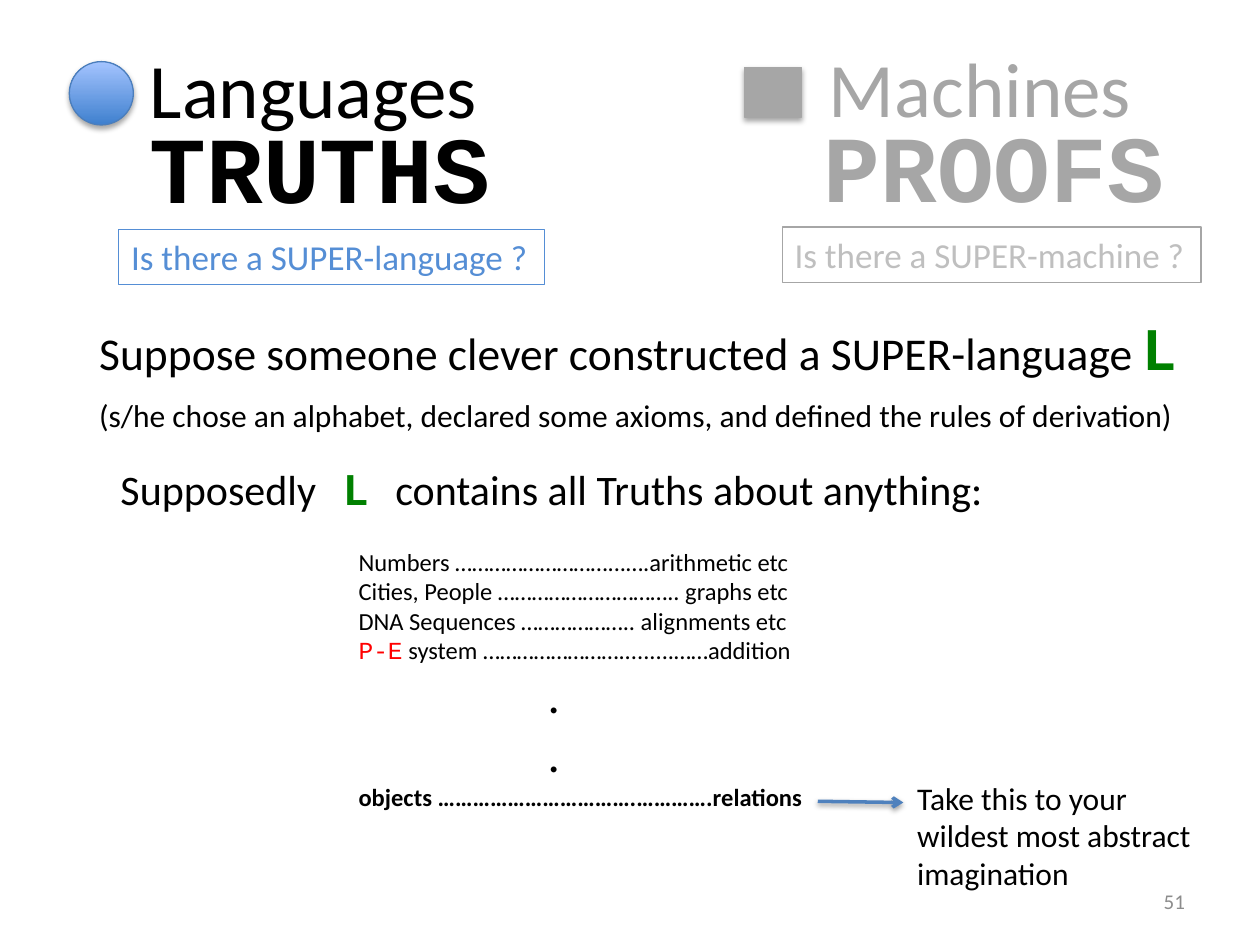
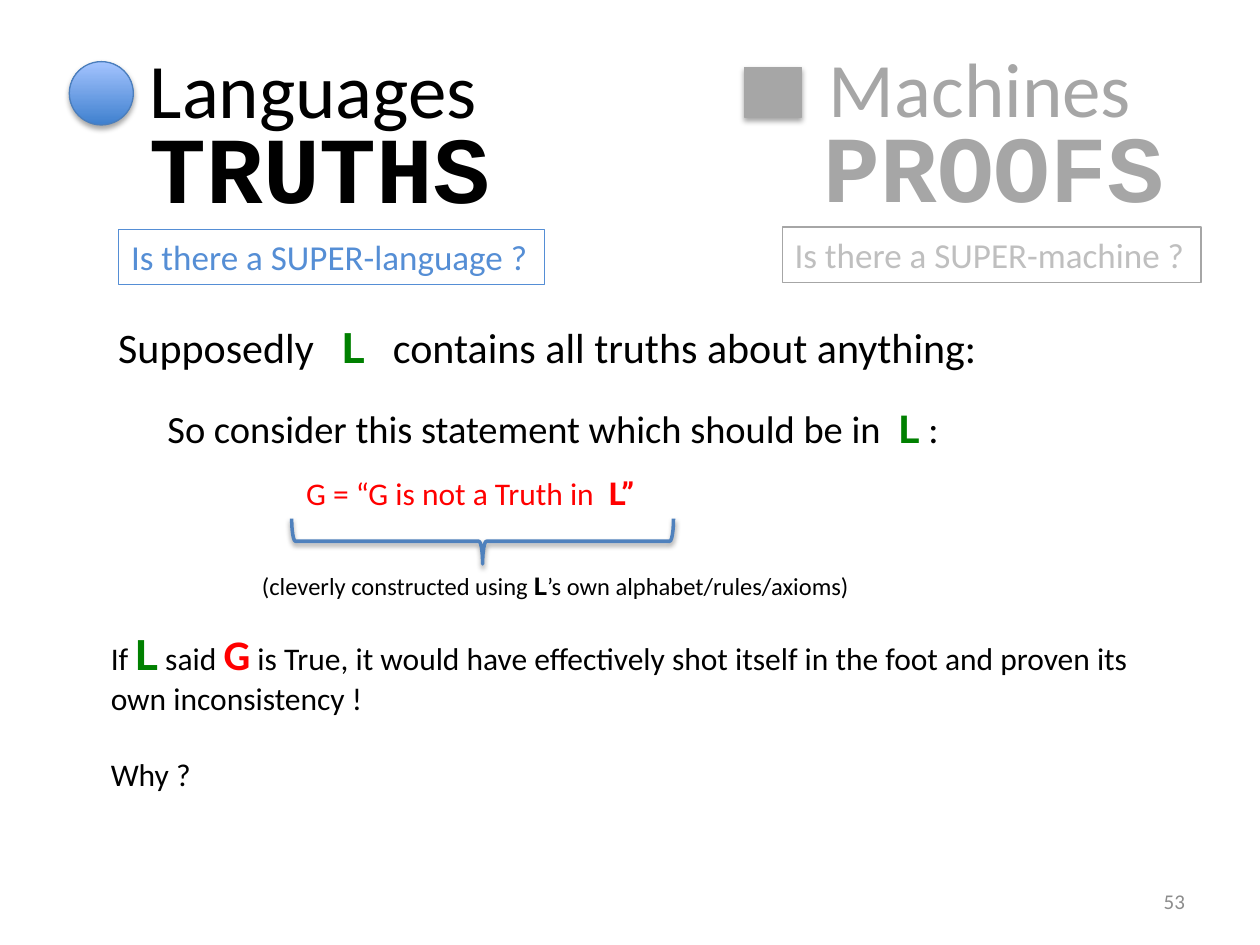
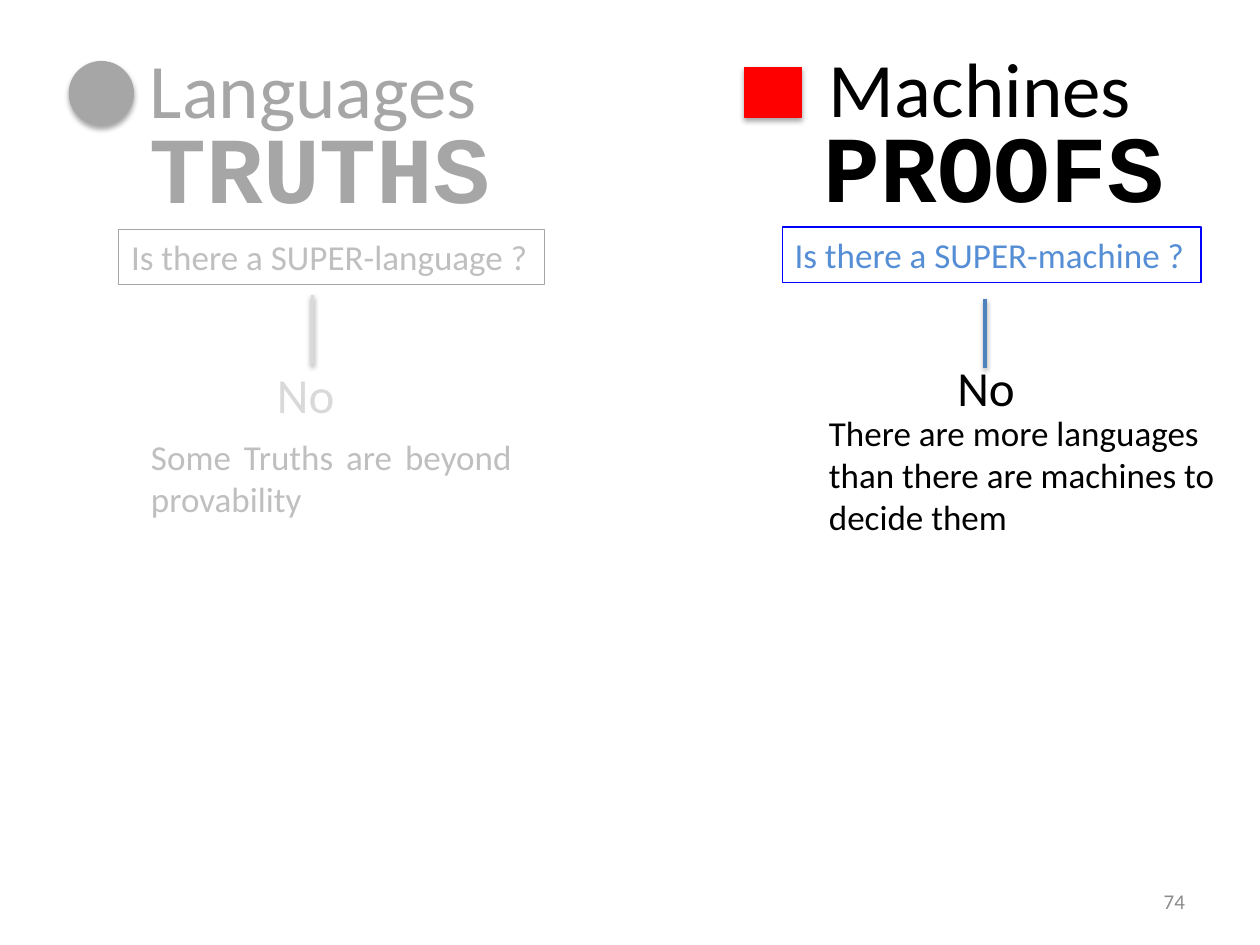
from dataclasses import dataclass

from lxml.etree import SubElement
from pptx import Presentation
from pptx.dml.color import RGBColor
from pptx.enum.shapes import MSO_CONNECTOR, MSO_SHAPE
from pptx.enum.text import MSO_ANCHOR, PP_ALIGN
from pptx.oxml.ns import qn
from pptx.util import Pt

BODY, MONO, SYMBOL = "Calibri", "Courier New", "Roboto"
BLACK, RED, GREEN = "000000", "FF0000", "008000"
BLUE, SKY, PURE_BLUE, RIM = "4F81BD", "558ED5", "0000FF", "4B7EBC"
GRADIENT = ("3F80CE", "A4C4FF")
MUTED, PALE, FAINT, FOOTER = "A6A6A6", "BFBFBF", "D9D9D9", "8C8C8C"

Box = tuple[float, float, float, float]


@dataclass(frozen=True)
class Run:
    text: str
    size: float | None = None
    font: str | None = None
    color: str | None = None
    bold: bool | None = None


@dataclass(frozen=True)
class Line:
    runs: tuple[Run, ...]
    tabs: tuple[float, ...] = ()
    before: float = 0


@dataclass(frozen=True)
class Side:
    marker_kind: MSO_SHAPE
    marker: Box
    topic: str
    topic_box: Box
    claim: str
    claim_box: Box
    question: str
    question_box: Box
    marker_fill: str | tuple[str, str]
    marker_line: str
    question_line: str


LANGUAGES = Side(
    MSO_SHAPE.OVAL, (39.6, 35.2, 36.6, 36.2),
    "Languages", (78.5, 20.2, 203.8, 60.5),
    "TRUTHS", (78.5, 59, 211, 72.7),
    "Is there a SUPER-language ?", (67.8, 131, 243.4, 31.7),
    GRADIENT, RIM, SKY,
)
MACHINES = Side(
    MSO_SHAPE.RECTANGLE, (425.4, 38.6, 32.6, 28.2),
    "Machines", (466.6, 19.4, 188.6, 60.5),
    "PROOFS", (463.7, 58.3, 211, 72.7),
    "Is there a SUPER-machine ?", (447, 129.8, 239.4, 31.7),
    RED, RED, PURE_BLUE,
)


def rgb(value: str) -> RGBColor:
    return RGBColor.from_string(value)


def points(values: tuple[float, ...]) -> list[Pt]:
    return [Pt(value) for value in values]


def write(slide, box: Box, *lines: str | Line, size: float = 18, font: str = BODY,
          color: str = BLACK, bold: bool = False, align=PP_ALIGN.LEFT,
          anchor=MSO_ANCHOR.TOP, wrap: bool = True, spacing: float | None = None,
          border: str | None = None) -> None:
    holder = slide.shapes.add_textbox(*points(box))
    if border:
        holder.line.color.rgb = rgb(border)
        holder.line.width = Pt(0.75)
    frame = holder.text_frame
    frame.word_wrap = wrap
    frame.vertical_anchor = anchor
    for index, entry in enumerate(lines):
        line = Line((Run(entry),)) if isinstance(entry, str) else entry
        paragraph = frame.add_paragraph() if index else frame.paragraphs[0]
        if line.tabs:
            stops = SubElement(paragraph._p.get_or_add_pPr(), qn("a:tabLst"))
            for stop in line.tabs:
                SubElement(stops, qn("a:tab"), pos=str(Pt(stop)), algn="l")
        paragraph.alignment = align
        if spacing:
            paragraph.line_spacing = spacing
        if line.before:
            paragraph.space_before = Pt(line.before)
        for part in line.runs:
            run = paragraph.add_run()
            run.text = part.text
            run.font.size = Pt(part.size or size)
            run.font.name = part.font or font
            run.font.bold = bold if part.bold is None else part.bold
            run.font.color.rgb = rgb(part.color or color)


def cast_shadow(shape, opacity: int, distance: float) -> None:
    effects = SubElement(shape._element.spPr, qn("a:effectLst"))
    shadow = SubElement(effects, qn("a:outerShdw"), blurRad=str(Pt(3.1)),
                        dist=str(Pt(distance)), dir="5400000", rotWithShape="0")
    tint = SubElement(shadow, qn("a:srgbClr"), val=BLACK)
    SubElement(tint, qn("a:alpha"), val=str(opacity * 1000))


def draw_marker(slide, side: Side, active: bool) -> None:
    marker = slide.shapes.add_shape(side.marker_kind, *points(side.marker))
    fill = side.marker_fill if active else MUTED
    if isinstance(fill, tuple):
        marker.fill.gradient()
        marker.fill.gradient_angle = 90
        for stop, color, position in zip(marker.fill.gradient_stops, fill, (0, 1)):
            stop.color.rgb = rgb(color)
            stop.position = position
    else:
        marker.fill.solid()
        marker.fill.fore_color.rgb = rgb(fill)
    marker.line.color.rgb = rgb(side.marker_line if active else MUTED)
    marker.line.width = Pt(0.75)
    cast_shadow(marker, 35, 1.8)


def draw_side(slide, side: Side, active: bool) -> None:
    heading = BLACK if active else MUTED
    draw_marker(slide, side, active)
    write(slide, side.topic_box, side.topic, size=44, color=heading, wrap=False)
    write(slide, side.claim_box, side.claim, size=54, font=MONO, bold=True,
          color=heading, wrap=False)
    write(slide, side.question_box, side.question, size=20, wrap=False,
          color=SKY if active else PALE,
          border=side.question_line if active else MUTED)


def draw_link(slide, ends: Box, color: str = BLUE, arrow: bool = False) -> None:
    link = slide.shapes.add_connector(MSO_CONNECTOR.STRAIGHT, *points(ends))
    link.line.color.rgb = rgb(color)
    link.line.width = Pt(2)
    if arrow:
        SubElement(link.line._get_or_add_ln(), qn("a:tailEnd"), type="arrow")
    cast_shadow(link, 38, 1.6)


def draw_brace(slide, box: Box) -> None:
    brace = slide.shapes.add_shape(MSO_SHAPE.RIGHT_BRACE, *points(box))
    brace.rotation = 90
    brace.fill.background()
    brace.line.color.rgb = rgb(BLUE)
    brace.line.width = Pt(2)
    cast_shadow(brace, 38, 1.6)


def super_language(size: float | None = None, text: str = "L") -> Run:
    return Run(text, size, SYMBOL, GREEN, True)


def write_supposition(slide, left: float, top: float, ending: str) -> None:
    line = Line((Run("Supposedly\t"), super_language(), Run("\t" + ending)), (128, 157))
    write(slide, (left, top, 513.4, 36), line, size=24)


def start_slide(deck, number: int, active: Side):
    slide = deck.slides.add_slide(deck.slide_layouts[6])
    for side in (LANGUAGES, MACHINES):
        draw_side(slide, side, side is active)
    write(slide, (516.2, 500.5, 168, 28.8), str(number), size=12, color=FOOTER,
          align=PP_ALIGN.RIGHT, anchor=MSO_ANCHOR.MIDDLE)
    return slide


def build_construction(deck) -> None:
    slide = start_slide(deck, 51, LANGUAGES)
    write(slide, (49.6, 160.6, 670.4, 90.7),
          Line((Run("Suppose someone clever constructed a SUPER-language ", 26),
                super_language(32))),
          "(s/he chose an alphabet, declared some axioms, and defined the rules of derivation)",
          spacing=1.4)
    write_supposition(slide, 61.8, 261.4, "contains all Truths about anything:")
    ellipsis_dot = Line((Run("\t.", 28),), (108,))
    write(slide, (197.8, 308.9, 282.2, 177),
          "Numbers ………………………...….arithmetic etc",
          "Cities, People ………………………….. graphs etc",
          "DNA Sequences ……………….. alignments etc",
          Line((Run("P-E", font=MONO, color=RED),
                Run(" system …………………….........……addition"))),
          ellipsis_dot, ellipsis_dot,
          Line((Run("objects …………………………….………….relations", bold=True),)),
          size=14)
    draw_link(slide, (467.3, 457.9, 516.2, 458.6), arrow=True)
    write(slide, (517, 441.4, 185.8, 72.7),
          "Take this to your wildest most abstract imagination")


def build_contradiction(deck) -> None:
    slide = start_slide(deck, 53, LANGUAGES)
    write_supposition(slide, 60.5, 180, "contains all truths about anything:")
    write(slide, (88.6, 228.2, 465.8, 33.8),
          Line((Run("So consider this statement which should be in\t"),
                super_language(), Run(" :")), (418,)), size=22)
    write(slide, (167.8, 267.1, 209.5, 28.8),
          Line((Run("G = “G is not a Truth in\t"),
                Run("L”", font=SYMBOL, bold=True)), (173,)), color=RED)
    draw_brace(slide, (262.8, 200.2, 25.9, 218.2))
    write(slide, (142.6, 322.6, 352.8, 24.5),
          Line((Run("(cleverly constructed using "), Run("L", font=SYMBOL, bold=True),
                Run("’s own alphabet/rules/axioms)"))), size=14)
    write(slide, (56.2, 355.7, 618.5, 101.5),
          Line((Run("If "), super_language(24), Run(" said "),
                Run("G", 24, color=RED, bold=True),
                Run(" is True, it would have effectively shot itself in the foot "
                    "and proven its own inconsistency !"))),
          Line((Run("Why ?"),), before=22))


def build_answers(deck) -> None:
    slide = start_slide(deck, 74, MACHINES)
    draw_link(slide, (178.6, 168.5, 178.6, 208.1), color=FAINT)
    draw_link(slide, (563, 170.6, 563, 210.2))
    write(slide, (151.2, 204.5, 54.7, 41), "No", size=28, color=FAINT)
    write(slide, (540, 200.9, 54.7, 41), "No", size=28)
    write(slide, (79.2, 245.5, 220.3, 55.4), "Some Truths are beyond provability",
          size=20, color=PALE, align=PP_ALIGN.JUSTIFY)
    write(slide, (466.6, 231.8, 259.2, 80),
          "There are more languages than there are machines to decide them", size=20)


def main() -> None:
    deck = Presentation()
    deck.slide_width, deck.slide_height = Pt(720), Pt(540)
    build_construction(deck)
    build_contradiction(deck)
    build_answers(deck)
    deck.save("out.pptx")


if __name__ == "__main__":
    main()
